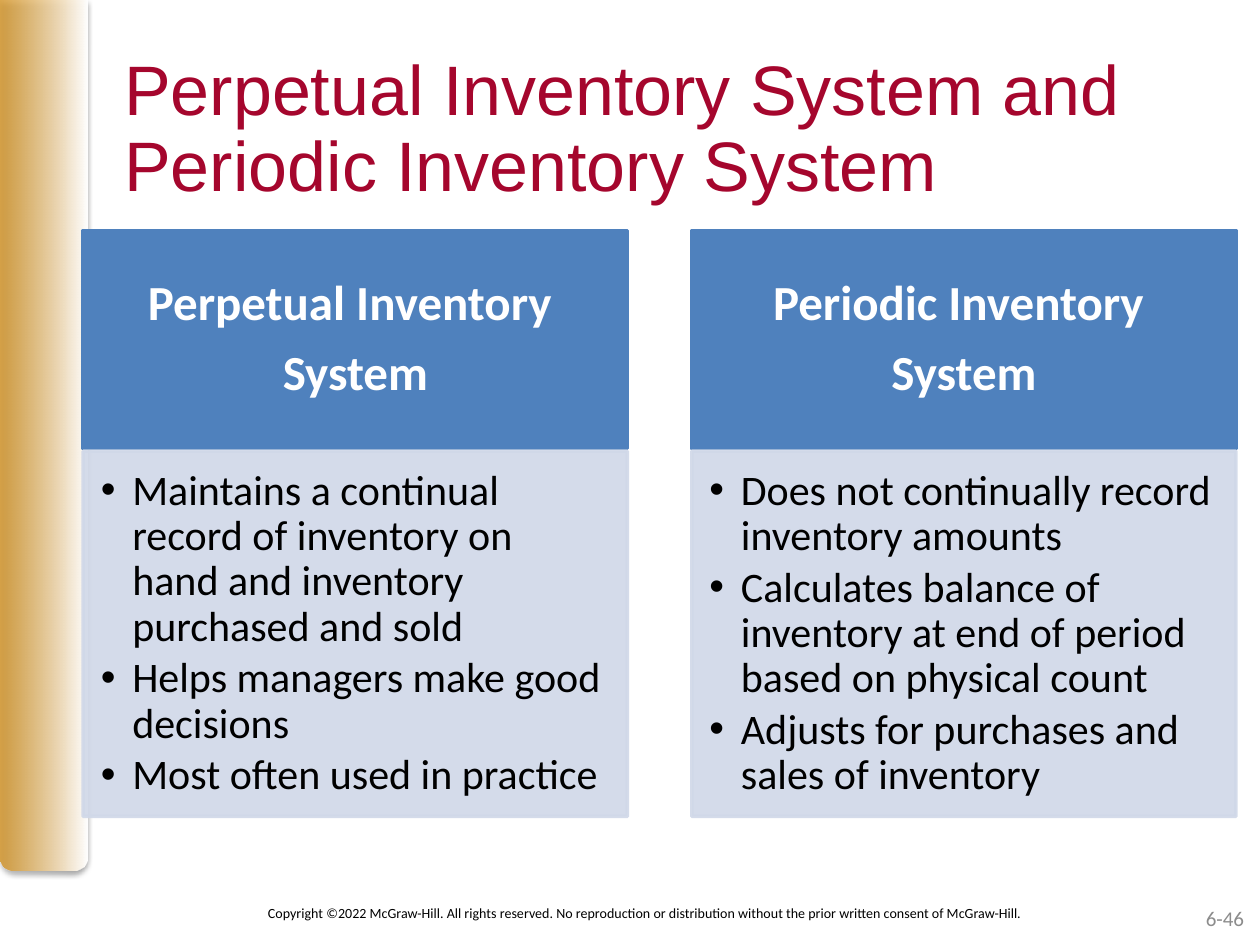
from lxml.etree import SubElement
from pptx import Presentation
from pptx.dml.color import RGBColor
from pptx.enum.shapes import MSO_SHAPE as Preset
from pptx.enum.text import MSO_ANCHOR as Anchor, PP_ALIGN as Align
from pptx.oxml.ns import qn
from pptx.util import Pt


def color(value):
    return RGBColor.from_string(value)


def set_all(target, values):
    for name, value in values.items():
        setattr(target, name, value)


def set_alpha(parent, percent):
    for node in parent.iter(qn("a:srgbClr")):
        SubElement(node, qn("a:alpha"), val=str(percent * 1000))


class SlideBuilder:
    """Holds the style and the slide being built."""
    title = dict(name="Arial", size=Pt(40)), "A5062D"
    heading = dict(name="Calibri", size=Pt(28), bold=True), "FFFFFF"
    body = dict(name="Calibri", size=Pt(24)), "000000"
    copyright = dict(name="Calibri", size=Pt(8)), "000000"
    number = dict(name="Calibri", size=Pt(12)), "8C8C8C"

    def __init__(self, page):
        self.page = page

    def fill_text(self, shape, lines, style, align=Align.LEFT, anchor=Anchor.MIDDLE,
                  margins=(7.2, 3.6, 7.2, 3.6), bullets=False, **spacing):
        box = shape.text_frame
        sides = ("margin_left", "margin_top", "margin_right", "margin_bottom")
        set_all(box, dict(zip(sides, map(Pt, margins))))
        set_all(box, dict(word_wrap=True, vertical_anchor=anchor))
        values, ink = style
        for index, line in enumerate(lines):
            para = box.add_paragraph() if index else box.paragraphs[0]
            set_all(para, dict(alignment=align, **spacing))
            if bullets:
                self.bullet(para)
            span = para.add_run()
            span.text = line
            set_all(span.font, values)
            span.font.color.rgb = color(ink)

    def bullet(self, para):
        para.level = 1
        props = para._p.get_or_add_pPr()
        props.set("marL", str(Pt(18)))
        props.set("indent", str(-Pt(18)))
        SubElement(props, qn("a:buFont"), typeface="Arial")
        SubElement(props, qn("a:buChar"), char="•")

    def text(self, place, line, style, **layout):
        shape = self.page.shapes.add_textbox(*map(Pt, place))
        self.fill_text(shape, [line], style, **layout)

    def panel(self, place, fill, lines, style, opacity=100, **layout):
        shape = self.page.shapes.add_shape(Preset.RECTANGLE, *map(Pt, place))
        shape.shadow.inherit = False
        shape.line.width = Pt(2)
        for paint in (shape.fill, shape.line.fill):
            paint.solid()
            paint.fore_color.rgb = color(fill)
        if opacity < 100:
            set_alpha(shape._element.spPr, opacity)
        self.fill_text(shape, lines, style, line_spacing=0.9, **layout)

    def side_band(self, place, start, end, opacity):
        shape = self.page.shapes.add_shape(
            Preset.ROUND_2_SAME_RECTANGLE, *map(Pt, place))
        props = shape._element.spPr
        props.find(qn("a:xfrm")).set("flipV", "1")
        shape.line.fill.background()
        shape.fill.gradient()
        shape.fill.gradient_angle = 0
        for stop, value in zip(shape.fill.gradient_stops, (start, end)):
            stop.color.rgb = color(value)
        set_alpha(props.find(".//" + qn("a:gs")), opacity)
        shape.shadow.inherit = False
        shadow = SubElement(
            props.find(qn("a:effectLst")), qn("a:outerShdw"), blurRad=str(Pt(3.1)),
            dist=str(Pt(1.8)), dir="5400000", rotWithShape="0")
        SubElement(shadow, qn("a:srgbClr"), val="000000")
        set_alpha(shadow, 35)


COLUMNS = [
    (["Perpetual Inventory ", "System"],
     ["Maintains a continual record of inventory on hand and inventory "
      "purchased and sold",
      "Helps managers make good decisions",
      "Most often used in practice"]),
    (["Periodic Inventory ", "System"],
     ["Does not continually record inventory amounts",
      "Calculates balance of inventory at end of period based on physical count",
      "Adjusts for purchases and sales of inventory"]),
]
LEFT, WIDTH, STEP = 47.5, 311, 347.8


def main():
    deck = Presentation()
    set_all(deck, dict(slide_width=Pt(720), slide_height=Pt(540)))
    build = SlideBuilder(deck.slides.add_slide(deck.slide_layouts[6]))

    # Side band, slide number and title
    build.side_band((0, 0, 50, 497.5), "D49323", "FFFFFF", 80)
    build.text((550, 510, 168, 28.8), "6-46", build.number, align=Align.RIGHT)
    build.text((64, 28, 648, 90),
               "Perpetual Inventory System and Periodic Inventory System",
               build.title, anchor=Anchor.TOP, line_spacing=0.9)

    # Two columns, each with a heading above its points
    for index, (heading, points) in enumerate(COLUMNS):
        left = LEFT + index * STEP
        build.panel((left, 131.8, WIDTH, 124.6), "4F81BD", heading, build.heading,
                    align=Align.CENTER, margins=(15.8, 8.6, 15.8, 8.6),
                    space_after=Pt(9.8))
        build.panel((left, 257.8, WIDTH, 208.8), "D0D8E8", points, build.body,
                    opacity=90, anchor=Anchor.TOP, bullets=True,
                    margins=(10.1, 10.1, 13.7, 15.1), space_after=Pt(3.6))

    # Copyright line
    build.text((112.3, 507, 514.8, 28.8),
               "Copyright ©2022 McGraw-Hill. All rights reserved. No reproduction or "
               "distribution without the prior written consent of McGraw-Hill. ",
               build.copyright, align=Align.CENTER)
    deck.save("out.pptx")


if __name__ == "__main__":
    main()
